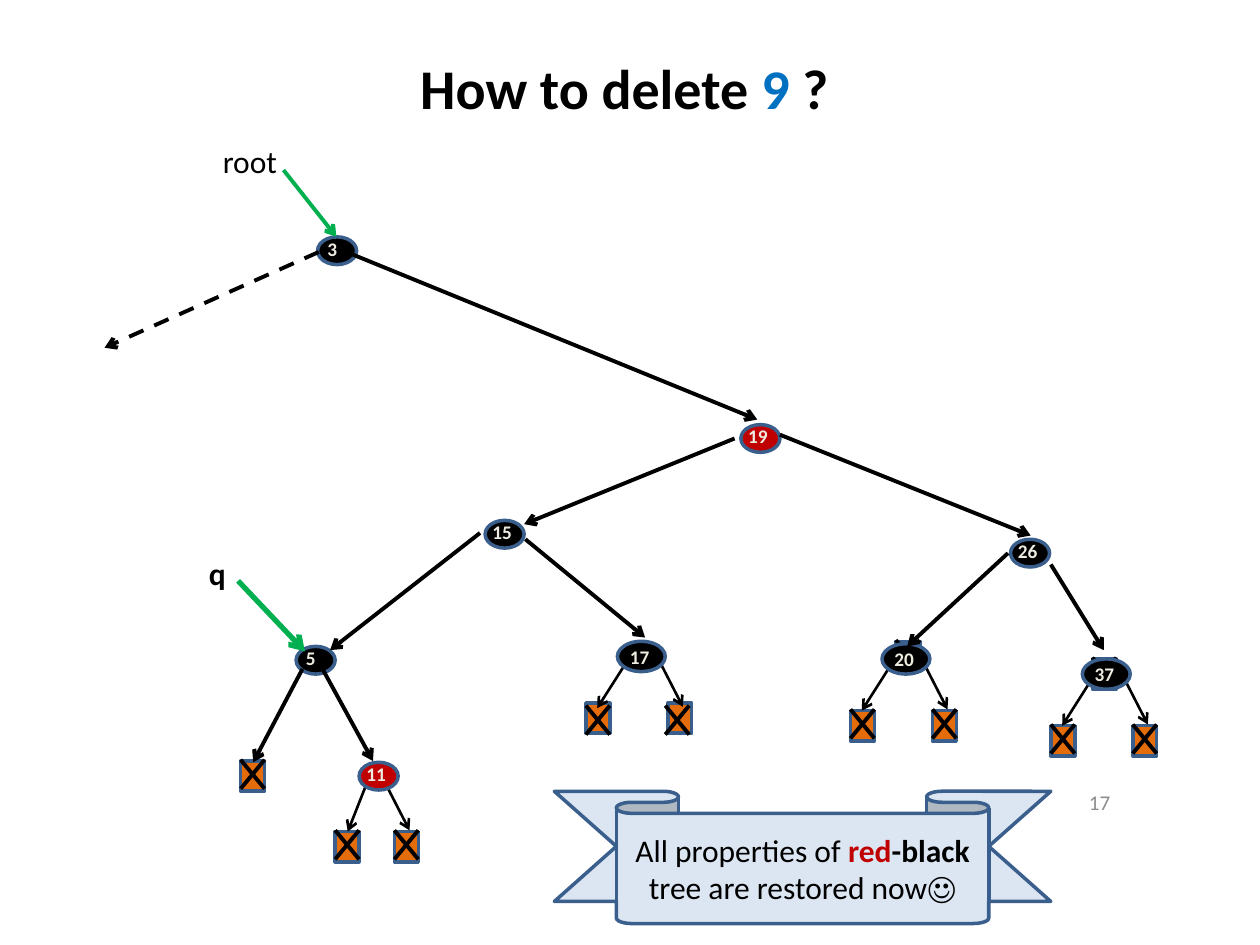
from lxml.etree import SubElement
from pptx import Presentation
from pptx.dml.color import RGBColor
from pptx.enum.dml import MSO_LINE
from pptx.enum.shapes import MSO_CONNECTOR, MSO_SHAPE
from pptx.enum.text import MSO_ANCHOR, PP_ALIGN
from pptx.oxml.ns import qn
from pptx.util import Inches, Pt

BLACK = RGBColor(0, 0, 0)
RED = RGBColor(0xC0, 0, 0)
BLUE = RGBColor(0, 0x70, 0xC0)
GREEN = RGBColor(0, 0xB0, 0x50)
ORANGE = RGBColor(0xE4, 0x6C, 0x0A)
EDGE = RGBColor(0x3A, 0x5F, 0x8C)
CREAM = RGBColor(0xEE, 0xEC, 0xE1)
GREY = RGBColor(0x8C, 0x8C, 0x8C)
PALE = RGBColor(0xDC, 0xE6, 0xF2)


def write(shape, runs, size=18, align=PP_ALIGN.LEFT, anchor=MSO_ANCHOR.TOP,
          wrap=True, low=0.05):
    """Fill a shape with one paragraph of (text, colour, bold) runs."""
    frame = shape.text_frame
    frame.word_wrap = wrap
    frame.vertical_anchor = anchor
    frame.margin_bottom = Inches(low)
    para = frame.paragraphs[0]
    para.alignment = align
    for text, color, bold in runs:
        run = para.add_run()
        run.text = text
        run.font.name = "Calibri"
        run.font.size = Pt(size)
        run.font.bold = bold
        run.font.color.rgb = color


def label(slide, box, runs, **style):
    write(slide.shapes.add_textbox(*map(Inches, box)), runs, **style)


def shape(slide, kind, box, fill):
    item = slide.shapes.add_shape(kind, *map(Inches, box))
    item.shadow.inherit = False
    item.fill.solid()
    item.fill.fore_color.rgb = fill
    item.line.color.rgb = EDGE
    item.line.width = Pt(2)
    return item


def line(slide, start, end, color=BLACK, width=2.25, head=True, dash=False):
    item = slide.shapes.add_connector(
        MSO_CONNECTOR.STRAIGHT, *map(Inches, (*start, *end)))
    item.line.color.rgb = color
    item.line.width = Pt(width)
    if dash:
        item.line.dash_style = MSO_LINE.DASH
    if head:
        SubElement(item.line._get_or_add_ln(), qn("a:tailEnd"), type="arrow")
    SubElement(item._element.spPr, qn("a:effectLst"))


def node(slide, x, y, key, fill=BLACK):
    """Small node with its key."""
    shape(slide, MSO_SHAPE.OVAL, (x, y, 0.31, 0.22), fill)
    shift, width = (0.04, 0.36) if len(key) > 1 else (0.02, 0.28)
    label(slide, (x - shift, y - 0.05, width, 0.29), [(key, CREAM, True)],
          size=11, wrap=False)


def leaf(slide, x, y, dx=0, dy=-0.01):
    """Crossed-out null leaf; dx and dy shift the cross."""
    shape(slide, MSO_SHAPE.RECTANGLE, (x, y, 0.19, 0.24), ORANGE)
    left, top = x + dx, y + dy
    right, base = left + 0.19, top + 0.23
    line(slide, (right, top), (left, base), head=False)
    line(slide, (left, top), (right, base), head=False)


def twig(slide, x, y, key, drop=0.53, dx=0, dy=-0.01, back=None):
    """Wide black node with two null leaves below it."""
    if back:
        leaf(slide, x + back[0], y + back[1])
    leaf(slide, x - 0.25, y + drop, dy=dy)
    leaf(slide, x + 0.4, y + drop, dx, dy)
    line(slide, (x + 0.05, y + 0.2), (x - 0.16, y + 0.53), width=1.5)
    line(slide, (x + 0.33, y + 0.15), (x + 0.52, y + 0.52), width=1.5)
    shape(slide, MSO_SHAPE.OVAL, (x, y, 0.38, 0.24), BLACK)
    label(slide, (x, y - 0.02, 0.43, 0.29), [(key, CREAM, True)], size=11)


def branch(slide, x, y):
    """Subtree of node 5: a null leaf and the red node 11."""
    leaf(slide, x - 0.44, y + 0.91)
    for dx in (0.31, 0.78):
        leaf(slide, x + dx, y + 1.47)
    line(slide, (x + 0.56, y + 1.09), (x + 0.41, y + 1.47), width=1.5)
    line(slide, (x + 0.71, y + 1.09), (x + 0.9, y + 1.46), width=1.5)
    node(slide, x, y, "5")
    node(slide, x + 0.5, y + 0.92, "11", RED)
    line(slide, (x + 0.05, y + 0.18), (x - 0.34, y + 0.92))
    line(slide, (x + 0.21, y + 0.18), (x + 0.61, y + 0.91))


def tree(slide, x, y):
    """Whole tree, with its root node at x, y."""
    for dx, dy, key, fill in ((0, 0, "3", BLACK), (3.36, 1.49, "19", RED),
                              (1.33, 2.25, "15", BLACK),
                              (5.5, 2.4, "26", BLACK)):
        node(slide, x + dx, y + dy, key, fill)
    twig(slide, x + 6.07, y + 3.35, "37", back=(0.08, 0))
    twig(slide, x + 4.48, y + 3.23, "20", back=(0.11, -0.02))
    twig(slide, x + 2.38, y + 3.21, "17", drop=0.49, dx=-0.02, dy=0.02)
    branch(slide, x - 0.17, y + 3.25)
    # Edges between the larger nodes
    for ax, ay, bx, by in ((0.23, 0.12, 3.49, 1.45),
                           (3.31, 1.6, 1.64, 2.28), (3.67, 1.57, 5.66, 2.37),
                           (1.65, 2.4, 2.6, 3.18), (1.29, 2.35, 0.1, 3.28),
                           (5.82, 2.6, 6.24, 3.28), (5.48, 2.51, 4.68, 3.25)):
        line(slide, (x + ax, y + ay), (x + bx, y + by))
    line(slide, (x + 0.01, y + 0.12), (x - 1.69, y + 0.88), dash=True)
    # Pointers
    line(slide, (x - 0.27, y - 0.53), (x + 0.15, y), GREEN)
    label(slide, (x - 0.85, y - 0.8, 0.64, 0.4), [("root", BLACK, False)],
          wrap=False)
    line(slide, (x - 0.63, y + 2.73), (x - 0.1, y + 3.29), GREEN, 3)
    label(slide, (x - 0.96, y + 2.47, 0.34, 0.4), [("q", BLACK, True)],
          wrap=False)


def banner(slide, box):
    item = shape(slide, MSO_SHAPE.DOWN_RIBBON, box, PALE)
    item.adjustments[0] = 0.167
    item.adjustments[1] = 0.75
    write(item, [("All properties of ", BLACK, False), ("red", RED, True),
                 ("-black ", BLACK, True),
                 ("tree are restored now☺", BLACK, False)],
          align=PP_ALIGN.CENTER, anchor=MSO_ANCHOR.MIDDLE)


def main():
    deck = Presentation()
    deck.slide_width, deck.slide_height = Inches(10), Inches(7.5)
    slide = deck.slides.add_slide(deck.slide_layouts[6])
    # Title and slide number
    label(slide, (0.08, 0.3, 9.75, 1.25),
          [("How to delete ", BLACK, True), ("9 ", BLUE, True),
           ("?", BLACK, True)],
          size=32, align=PP_ALIGN.CENTER, anchor=MSO_ANCHOR.MIDDLE, low=0.52)
    label(slide, (6.58, 6.17, 2.33, 0.4), [("17", GREY, False)],
          size=12, align=PP_ALIGN.RIGHT, anchor=MSO_ANCHOR.MIDDLE)
    tree(slide, 2.52, 1.88)
    banner(slide, (4.4, 6.28, 3.94, 1.05))
    deck.save("out.pptx")


if __name__ == "__main__":
    main()
